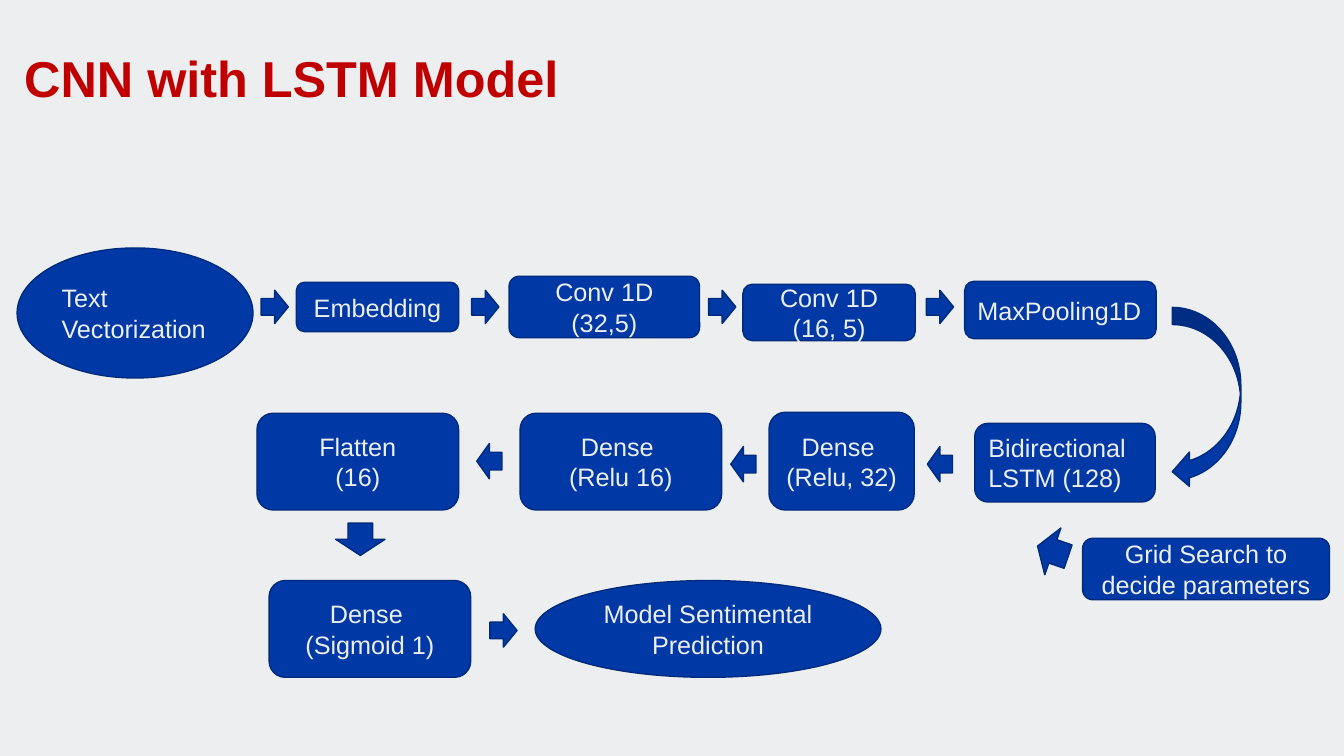
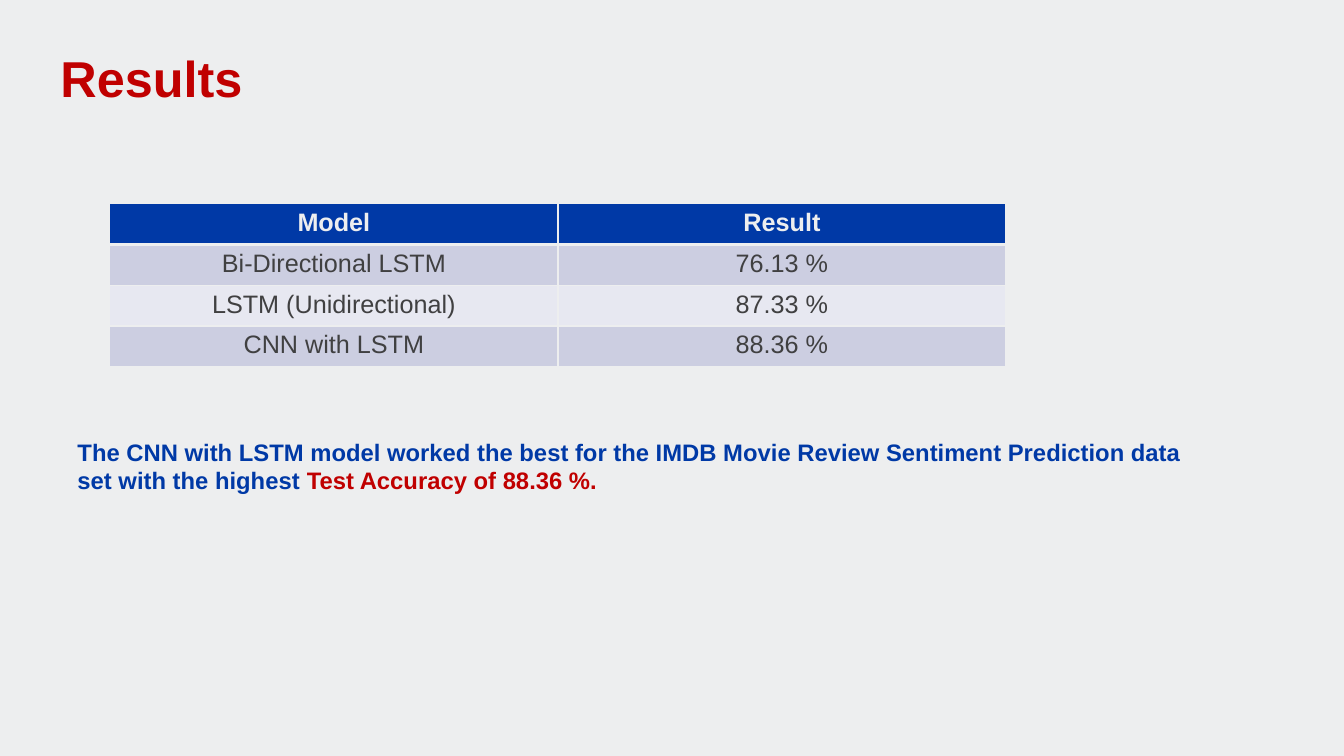
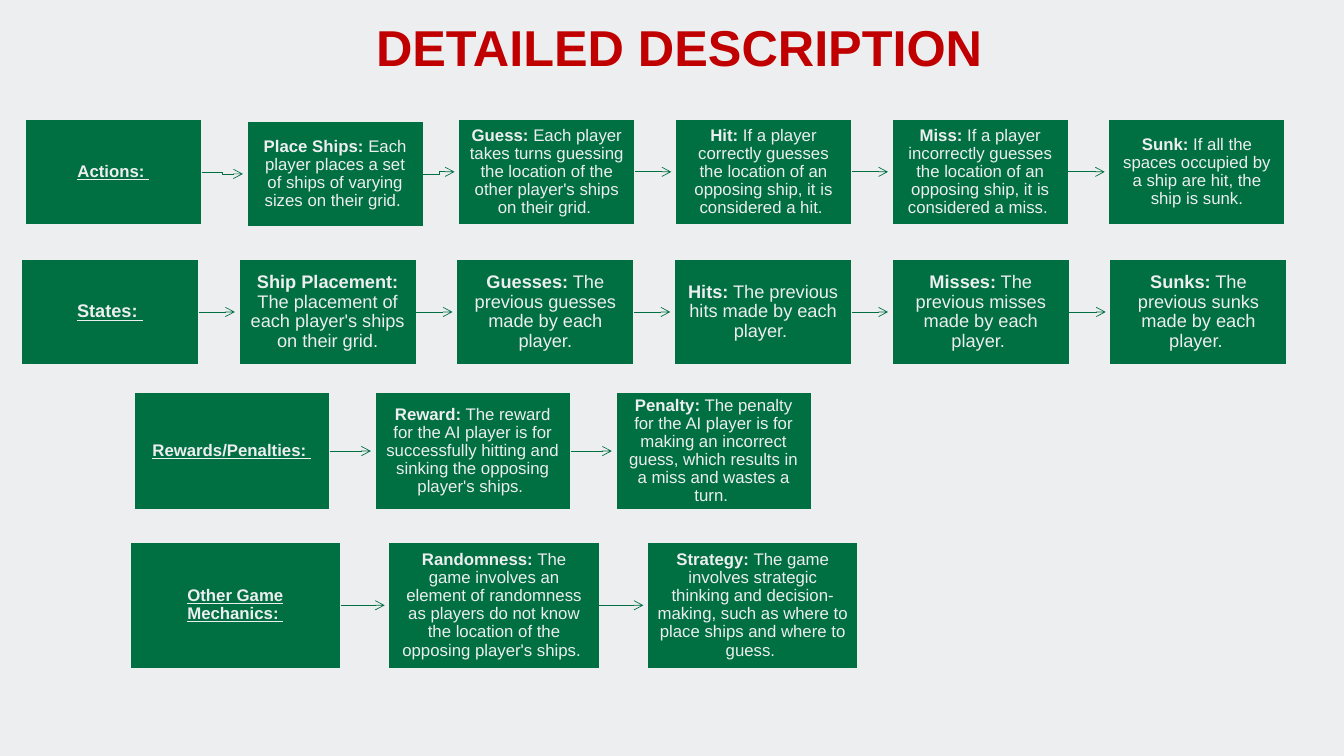
from dataclasses import dataclass
from itertools import pairwise

from pptx import Presentation
from pptx.dml.color import RGBColor as Rgb
from pptx.enum.shapes import MSO_CONNECTOR as Link, MSO_SHAPE as Kind
from pptx.enum.text import MSO_ANCHOR as Anchor, MSO_AUTO_SIZE as Fit, PP_ALIGN as Align
from pptx.oxml import parse_xml
from pptx.oxml.ns import nsdecls, qn
from pptx.util import Inches, Pt

# The grid has square cells: 40 columns by 22.5 rows
CELL = Inches(1) / 3
COLS, ROWS = 40, 22.5


@dataclass(frozen=True)
class Theme:
    font: str = "Arial"
    paper: str = "EDEEEF"
    red: str = "C00000"
    blue: str = "0039A6"
    navy: str = "002A7B"
    green: str = "006F42"
    ink: str = "404041"
    bands: tuple = ("CCCEE1", "E7E8F1")
    head: int = 36
    body: int = 18
    note: int = 17
    small: int = 12
    mid: int = 13


T = Theme()


def grid(*cells):
    return [round(c * CELL) for c in cells]


def hue(code):
    return Rgb.from_string(code)


def write(frame, *runs, size=T.body, color=T.paper, bold=False, align=Align.CENTER,
          space=None, anchor=None, pad=None):
    """Fill a frame; a run is text or (text, format), and a newline starts a paragraph."""
    frame.word_wrap = True
    if anchor is not None:
        frame.vertical_anchor = anchor
    if pad is not None:
        frame.margin_left = frame.margin_right = Inches(pad)
        frame.margin_top = frame.margin_bottom = Inches(pad)
    para = frame.paragraphs[0]
    for item in runs:
        text, own = (item, {}) if isinstance(item, str) else item
        for i, line in enumerate(text.split("\n")):
            if i:
                para = frame.add_paragraph()
            run = para.add_run()
            run.text = line
            font = run.font
            font.name, font.size = T.font, Pt(size)
            font.bold = own.get("bold", bold)
            font.underline = own.get("line")
            font.color.rgb = hue(own.get("color", color))
    for para in frame.paragraphs:
        para.alignment = align
        if space:
            para.line_spacing = space


class Deck:
    def __init__(self):
        self.file = Presentation()
        self.file.slide_width, self.file.slide_height = grid(COLS, ROWS)
        fill = self.file.slide_master.background.fill
        fill.solid()
        fill.fore_color.rgb = hue(T.paper)
        self.page = None

    def start(self, title, x, y, w, align=Align.LEFT):
        """Add a slide with its title."""
        self.page = self.file.slides.add_slide(self.file.slide_layouts[5])
        box = self.page.shapes.title
        box.left, box.top, box.width, box.height = grid(x, y, w, 1.65)
        box.text_frame.auto_size = Fit.NONE
        write(box.text_frame, title, size=T.head, color=T.red, bold=True,
              align=align, space=0.9, anchor=Anchor.BOTTOM, pad=0)

    def shape(self, kind, x, y, w, h, *runs, fill=T.blue, line=T.navy, turn=0, **form):
        item = self.page.shapes.add_shape(kind, *grid(x, y, w, h))
        item.shadow.inherit = False
        item.fill.solid()
        item.fill.fore_color.rgb = hue(fill)
        item.line.color.rgb = hue(line)
        item.line.width = Pt(1)
        item.rotation = turn
        if runs:
            write(item.text_frame, *runs, anchor=Anchor.MIDDLE, **form)
        return item

    def text(self, x, y, w, h, *runs, **form):
        write(self.page.shapes.add_textbox(*grid(x, y, w, h)).text_frame, *runs, **form)

    def arrow(self, src, dst, gap=0.12):
        """Lead from the right side of one box to just before the next."""
        y1, y2 = (b.top + b.height // 2 for b in (src, dst))
        kind = Link.STRAIGHT if y1 == y2 else Link.ELBOW
        wire = self.page.shapes.add_connector(
            kind, src.left + src.width, y1, dst.left - grid(gap)[0], y2)
        wire.begin_connect(src, 3)
        wire.line.color.rgb = hue(T.green)
        wire.line.width = Pt(0.5)
        props = wire._element.spPr
        props.find(qn("a:ln")).append(
            parse_xml(f'<a:tailEnd {nsdecls("a")} type="arrow"/>'))
        props.append(parse_xml(f'<a:effectLst {nsdecls("a")}/>'))

    def chain(self, x, y, w, h, step, head, cards, size=T.small, pad=0.1, nudge=None):
        """Draw a row of boxes joined by arrows; nudge shifts single boxes."""
        runs = [[(head, {"bold": True, "line": True})]]
        runs += [[(name, {"bold": True}), rest] for name, rest in cards]
        boxes = []
        for i, parts in enumerate(runs):
            dx, dy = (nudge or {}).get(i, (0, 0))
            boxes.append(self.shape(
                Kind.RECTANGLE, x + i * step + dx, y + dy, w, h, *parts, fill=T.green,
                line=T.paper, size=size, space=0.9, pad=pad))
        for pair in pairwise(boxes):
            self.arrow(*pair)

    def edge(self, cell, widths):
        """Set the four borders of a table cell."""
        props = cell._tc.get_or_add_tcPr()
        for i, (side, width) in enumerate(zip("LRTB", widths)):
            props.insert(i, parse_xml(
                f'<a:ln{side} {nsdecls("a")} w="{Pt(width)}"><a:solidFill>'
                f'<a:srgbClr val="{T.paper}"/></a:solidFill></a:ln{side}>'))

    def table(self, x, y, w, h, rows):
        frame = self.page.shapes.add_table(len(rows), len(rows[0]), *grid(x, y, w, h))
        for r, row in enumerate(rows):
            top = r == 0
            for c, word in enumerate(row):
                cell = frame.table.cell(r, c)
                cell.fill.solid()
                cell.fill.fore_color.rgb = hue(T.blue if top else T.bands[(r - 1) % 2])
                self.edge(cell, (1, 1, 3 if r == 1 else 1, 3 if top else 1))
                write(cell.text_frame, word, bold=top, color=T.paper if top else T.ink)


def model(deck):
    deck.start("CNN with LSTM Model", 0.72, 1.59, 38.04)
    # Start and end
    deck.shape(Kind.OVAL, 0.51, 7.38, 7.02, 3.87, "Text\nVectorization", align=Align.LEFT)
    deck.shape(Kind.OVAL, 15.93, 17.28, 10.29, 2.88, "Model Sentimental Prediction")
    # Layers
    left = {"align": Align.LEFT}
    for x, y, w, h, label, form in (
        (8.82, 8.4, 4.83, 1.47, "Embedding", {}),
        (15.15, 8.22, 5.67, 1.83, "Conv 1D (32,5)", {}),
        (22.11, 8.46, 5.13, 1.68, "Conv 1D\n(16, 5)", {}),
        (28.71, 8.37, 5.7, 1.71, "MaxPooling1D", left),
        (29.01, 12.6, 5.37, 2.34, "Bidirectional LSTM (128)", left),
        (22.89, 12.27, 4.32, 2.91, "Dense \n(Relu, 32)", {}),
        (15.48, 12.3, 6, 2.88, "Dense \n(Relu 16)", {}),
        (7.65, 12.3, 6, 2.88, "Flatten\n(16)", {}),
        (8.01, 17.28, 6, 2.88, "Dense \n(Sigmoid 1)", {}),
        (32.22, 16.02, 7.35, 1.83, "Grid Search to decide parameters", {}),
    ):
        deck.shape(Kind.ROUNDED_RECTANGLE, x, y, w, h, label, **form)
    # Block arrows
    for kind, w, h, spots in (
        (Kind.RIGHT_ARROW, 0.81, 0.99,
         ((7.77, 8.64), (14.04, 8.64), (21.09, 8.64), (27.57, 8.64), (14.58, 18.27))),
        (Kind.LEFT_ARROW, 0.75, 1.05, ((27.6, 13.29), (21.75, 13.29), (14.19, 13.2))),
        (Kind.DOWN_ARROW, 1.47, 0.96, ((9.99, 15.57),)),
        (Kind.CURVED_LEFT_ARROW, 2.04, 5.4, ((34.89, 9.15),)),
    ):
        for x, y in spots:
            deck.shape(kind, x, y, w, h)
    deck.shape(Kind.DOWN_ARROW, 30.6, 15.93, 1.47, 0.96, turn=109)


def results(deck):
    deck.start("Results", 1.8, 1.59, 36.93)
    deck.table(3.27, 6.06, 26.67, 4.86, (
        ("Model", "Result"),
        ("Bi-Directional LSTM", "76.13 %"),
        ("LSTM (Unidirectional)", "87.33 %"),
        ("CNN with LSTM", "88.36 %"),
    ))
    deck.text(
        2.01, 12.87, 34.14, 2.01,
        "The CNN with LSTM model worked the best for the IMDB Movie Review Sentiment "
        "Prediction data set with the highest ",
        ("Test Accuracy of 88.36 %.", {"color": T.red}),
        size=T.note, color=T.blue, bold=True, align=Align.LEFT)


def game(deck):
    deck.start("DETAILED DESCRIPTION", 1.35, 0.65, 37.74, align=Align.CENTER)
    deck.chain(0.75, 3.54, 5.25, 3.15, 6.45, "Actions: ", (
        ("Place Ships:", " Each player places a set of ships of varying sizes on their grid. "),
        ("Guess:", " Each player takes turns guessing the location of the other player's "
                   "ships on their grid. "),
        ("Hit:", " If a player correctly guesses the location of an opposing ship, it is "
                 "considered a hit. "),
        ("Miss:", " If a player incorrectly guesses the location of an opposing ship, it is "
                  "considered a miss. "),
        ("Sunk:", " If all the spaces occupied by a ship are hit, the ship is sunk."),
    ), pad=0.09, nudge={1: (0.15, 0.06)})
    deck.chain(0.63, 7.71, 5.28, 3.15, 6.48, "States: ", (
        ("Ship Placement:", " The placement of each player's ships on their grid."),
        ("Guesses:", " The previous guesses made by each player."),
        ("Hits:", " The previous hits made by each player. "),
        ("Misses:", " The previous misses made by each player. "),
        ("Sunks:", " The previous sunks made by each player. "),
    ), size=T.mid, pad=0.09)
    deck.chain(3.99, 11.67, 5.82, 3.51, 7.17, "Rewards/Penalties: ", (
        ("Reward:", " The reward for the AI player is for successfully hitting and sinking "
                    "the opposing player's ships. "),
        ("Penalty:", " The penalty for the AI player is for making an incorrect guess, which "
                     "results in a miss and wastes a turn. "),
    ))
    deck.chain(3.87, 16.14, 6.27, 3.75, 7.7, "Other Game Mechanics: ", (
        ("Randomness:", " The game involves an element of randomness as players do not know "
                        "the location of the opposing player's ships. "),
        ("Strategy:", " The game involves strategic thinking and decision-making, such as "
                      "where to place ships and where to guess. "),
    ))


def main():
    deck = Deck()
    for draw in (model, results, game):
        draw(deck)
    deck.file.save("out.pptx")


if __name__ == "__main__":
    main()
